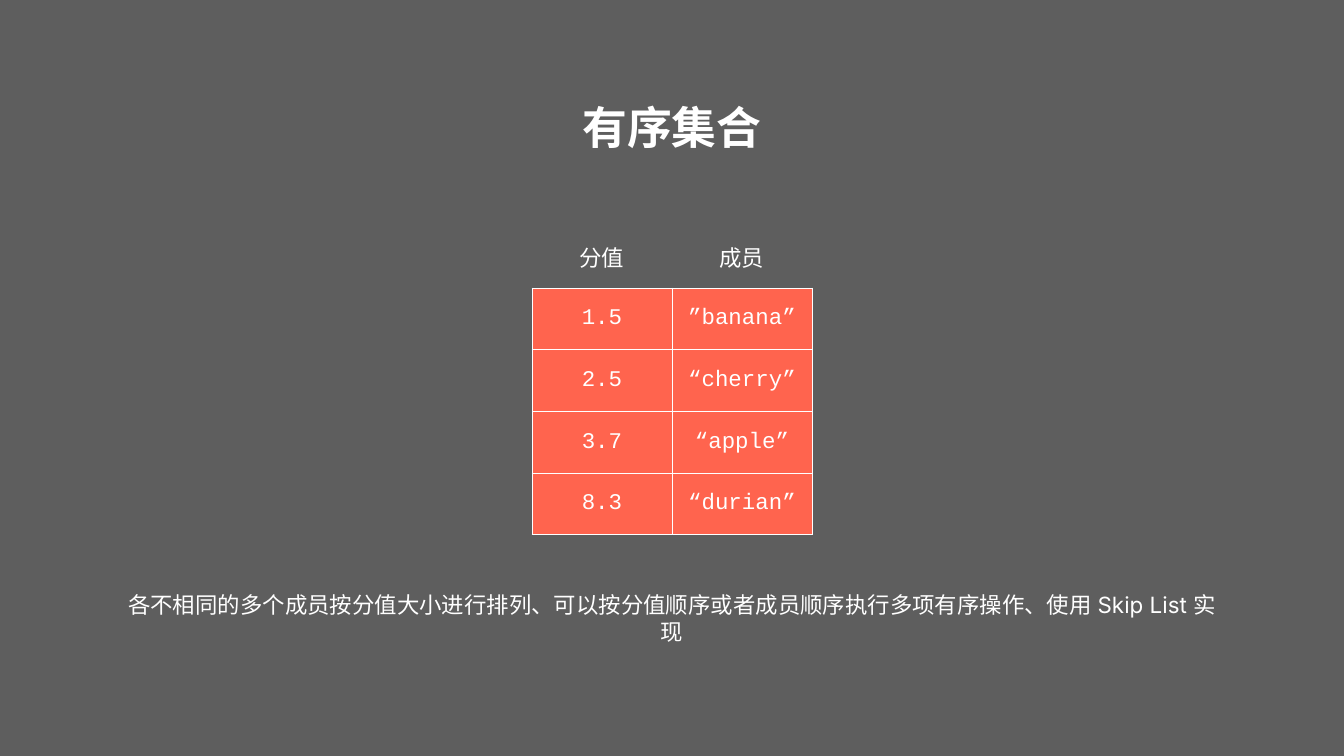
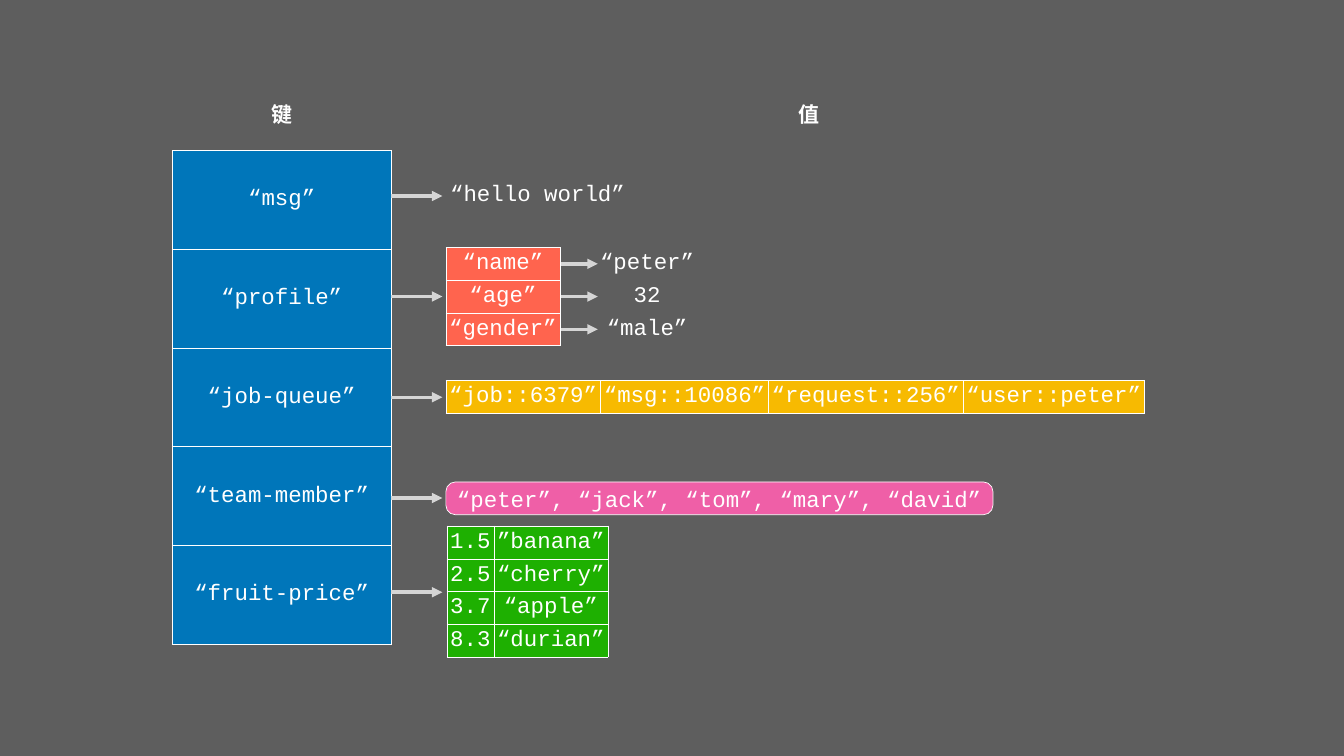
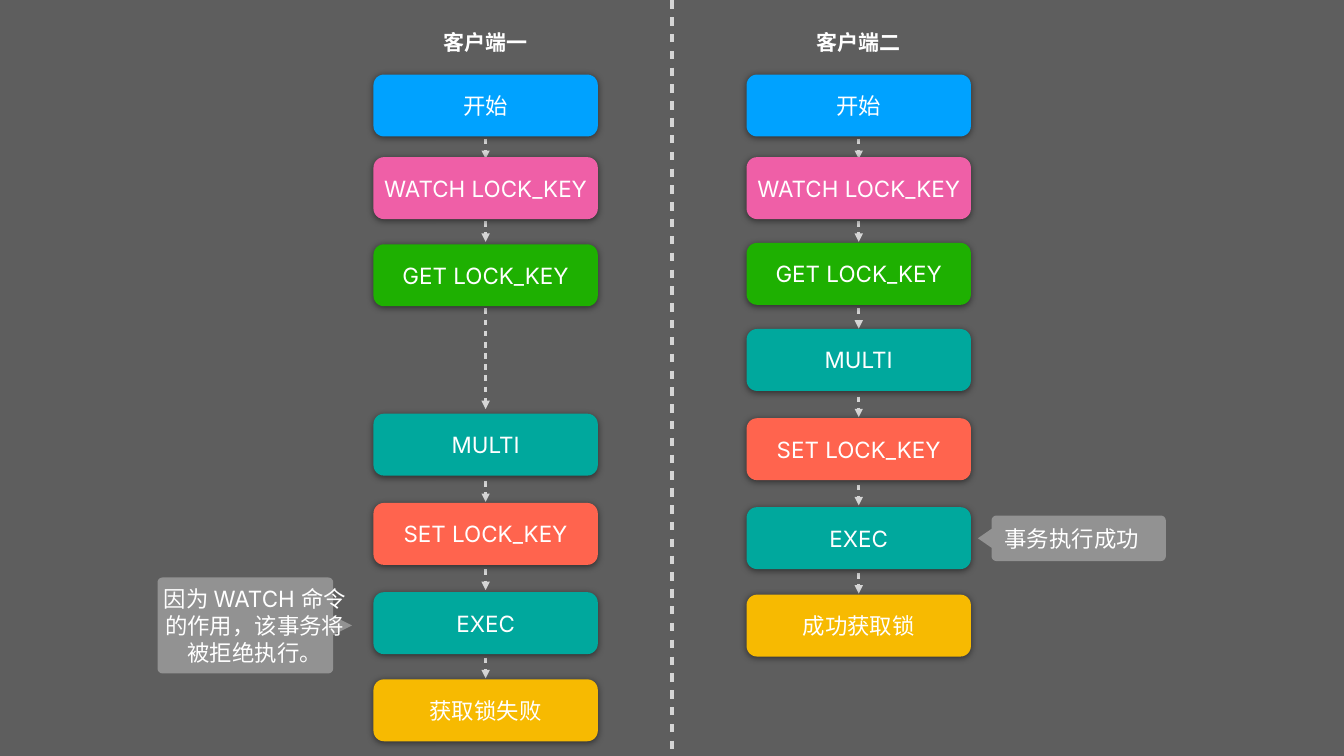
from dataclasses import dataclass
from math import cos, pi, sin
from typing import NamedTuple

from lxml.etree import SubElement
from pptx import Presentation
from pptx.dml.color import RGBColor
from pptx.enum.shapes import MSO_CONNECTOR, MSO_SHAPE
from pptx.enum.text import MSO_ANCHOR, MSO_AUTO_SIZE, PP_ALIGN
from pptx.oxml.ns import qn
from pptx.presentation import Presentation as Deck
from pptx.slide import Slide
from pptx.text.text import TextFrame
from pptx.util import Pt

COLOURS = {
    "background": "5E5E5E",
    "white": "FFFFFF",
    "arrow": "D5D5D5",
    "callout": "929292",
    "navy": "0076BA",
    "sky": "00A2FF",
    "pink": "EF5FA7",
    "green": "1EB001",
    "teal": "00A89D",
    "coral": "FF644E",
    "yellow": "F7BA01",
}
SANS, MONO = "Inter", "Courier New"
PLAIN_TABLE_STYLE = "{2D5ABB26-0587-4C30-8999-92F81FD0307C}"
TITLE_ONLY, BLANK = 5, 6
SMALL_ROW = 46.8


class Box(NamedTuple):
    left: float
    top: float
    width: float
    height: float

    def lengths(self) -> list[int]:
        return [Pt(value) for value in self]


class TextStyle(NamedTuple):
    size: float = 32
    font: str = SANS
    bold: bool = False
    margin: float = 0
    wrap: bool = True


TITLE = TextStyle(64, bold=True, margin=4, wrap=False)
HEADING = TextStyle(30, bold=True, margin=4, wrap=False)
NOTE = TextStyle(margin=4)
LABEL = TextStyle()
CODE = TextStyle(font=MONO)
CELL = TextStyle(font=MONO, margin=4)


@dataclass
class Grid:
    left: float
    top: float
    widths: list[float]
    row_height: float
    rows: list[list[str]]
    fill: str | None = None
    has_header: bool = False


@dataclass
class Lane:
    heading: str
    left: float
    outcome: str
    tops: list[float]
    arrows: list[tuple[float, float]]


FRUIT_PRICES = [
    ["1.5", "”banana”"],
    ["2.5", "“cherry”"],
    ["3.7", "“apple”"],
    ["8.3", "“durian”"],
]
STEPS = [
    ("开始", "sky"),
    ("WATCH LOCK_KEY", "pink"),
    ("GET LOCK_KEY", "green"),
    ("MULTI", "teal"),
    ("SET LOCK_KEY", "coral"),
    ("EXEC", "teal"),
]
STEP_WIDTH, STEP_HEIGHT = 320.5, 88.5
LANES = [
    Lane("客户端一", 533.5, "获取锁失败",
         [106.5, 224.5, 349, 591, 718.5, 846, 970.5],
         [(198, 227), (316, 345.5), (440.5, 584.5),
          (687.5, 717), (813.5, 843), (939.5, 969)]),
    Lane("客户端二", 1066.5, "成功获取锁",
         [106.5, 224.5, 347, 470, 597.5, 724.5, 849.5],
         [(198, 227), (316, 345.5), (440.5, 469.5),
          (566.5, 596), (692.5, 722), (818.5, 848)]),
]


def colour(name: str) -> RGBColor:
    return RGBColor.from_string(COLOURS[name])


def write(frame: TextFrame, words: str, style: TextStyle) -> None:
    frame.vertical_anchor = MSO_ANCHOR.MIDDLE
    frame.word_wrap = style.wrap
    frame.auto_size = MSO_AUTO_SIZE.NONE
    frame.margin_left = frame.margin_right = Pt(style.margin)
    frame.margin_top = frame.margin_bottom = Pt(style.margin)
    add_span(frame, words, style)


def add_span(frame: TextFrame, words: str, style: TextStyle) -> None:
    para = frame.paragraphs[0]
    para.alignment = PP_ALIGN.CENTER
    span = para.add_run()
    span.text = words
    span.font.size = Pt(style.size)
    span.font.name = style.font
    span.font.bold = style.bold
    span.font.color.rgb = colour("white")


def add_label(page: Slide, box: Box, words: str, style: TextStyle) -> None:
    write(page.shapes.add_textbox(*box.lengths()).text_frame, words, style)


def add_heading(page: Slide, center: float, top: float, words: str) -> None:
    width = 30 * len(words) + 9
    add_label(page, Box(center - width / 2, top, width, 50), words, HEADING)


def add_grid(page: Slide, grid: Grid) -> None:
    """Draw a table; filled cells get white borders, a header only its bottom one."""
    box = Box(grid.left, grid.top, sum(grid.widths), grid.row_height * len(grid.rows))
    frame = page.shapes.add_table(len(grid.rows), len(grid.widths), *box.lengths())
    table = frame.table
    table.first_row = table.horz_banding = False
    frame.element.find(".//" + qn("a:tableStyleId")).text = PLAIN_TABLE_STYLE
    for column, width in zip(table.columns, grid.widths):
        column.width = Pt(width)
    for row_index, row in enumerate(grid.rows):
        is_header = grid.has_header and row_index == 0
        for column_index, words in enumerate(row):
            cell = table.cell(row_index, column_index)
            cell.vertical_anchor = MSO_ANCHOR.MIDDLE
            cell.margin_left = cell.margin_right = Pt(CELL.margin)
            cell.margin_top = cell.margin_bottom = Pt(CELL.margin)
            add_span(cell.text_frame, words, CELL)
            if grid.fill:
                add_borders(cell, "B" if is_header else "LRTB")
            if grid.fill and not is_header:
                cell.fill.solid()
                cell.fill.fore_color.rgb = colour(grid.fill)
            else:
                cell.fill.background()


def add_borders(cell, sides: str) -> None:
    properties = cell._tc.get_or_add_tcPr()
    for side in sides:
        border = SubElement(properties, qn(f"a:ln{side}"), w=str(Pt(1)))
        fill = SubElement(border, qn("a:solidFill"))
        SubElement(fill, qn("a:srgbClr"), val=COLOURS["white"])


def add_line(page: Slide, start: tuple[float, float], end: tuple[float, float],
             width: float, dashed: bool = False, arrow: bool = True) -> None:
    line = page.shapes.add_connector(
        MSO_CONNECTOR.STRAIGHT, *[Pt(value) for value in start + end])
    line.line.color.rgb = colour("arrow")
    line.line.width = Pt(width)
    properties = line.element.spPr
    outline = properties.find(qn("a:ln"))
    if dashed:
        dashes = SubElement(outline, qn("a:custDash"))
        SubElement(dashes, qn("a:ds"), d="200000", sp="200000")
    if arrow:
        SubElement(outline, qn("a:tailEnd"), type="triangle")
    SubElement(properties, qn("a:effectLst"))


def add_card(page: Slide, box: Box, words: str, fill: str, style: TextStyle,
             rounding: float, outlined: bool = False) -> None:
    """Draw a rounded box with either a white outline or a soft shadow."""
    card = page.shapes.add_shape(MSO_SHAPE.ROUNDED_RECTANGLE, *box.lengths())
    card.adjustments[0] = rounding
    card.fill.solid()
    card.fill.fore_color.rgb = colour(fill)
    card.shadow.inherit = False
    if outlined:
        card.line.color.rgb = colour("white")
        card.line.width = Pt(1)
    else:
        card.line.fill.background()
        effects = card.element.spPr.find(qn("a:effectLst"))
        shadow = SubElement(effects, qn("a:outerShdw"), blurRad=str(Pt(10)),
                            dist=str(Pt(2)), dir="5400000", rotWithShape="0")
        tint = SubElement(shadow, qn("a:srgbClr"), val="000000")
        SubElement(tint, qn("a:alpha"), val="50000")
    write(card.text_frame, words, style)


def add_callout(page: Slide, box: Box, tail: float, points_right: bool, words: str) -> None:
    """Draw a rounded callout whose tail, included in the box, points sideways."""
    radius, half_tail, arc_steps = 7, 13.5, 4
    body, middle = box.width - tail, box.height / 2
    corners = [(body - radius, box.height - radius), (radius, box.height - radius),
               (radius, radius), (body - radius, radius)]
    outline = [(body, middle - half_tail), (box.width, middle), (body, middle + half_tail)]
    for quarter, (x, y) in enumerate(corners):
        for step in range(arc_steps + 1):
            angle = (quarter + step / arc_steps) * pi / 2
            outline.append((x + radius * cos(angle), y + radius * sin(angle)))
    points = [(Pt(box.left + (x if points_right else box.width - x)), Pt(box.top + y))
              for x, y in outline]
    builder = page.shapes.build_freeform(*points[0])
    builder.add_line_segments(points[1:])
    callout = builder.convert_to_shape()
    callout.fill.solid()
    callout.fill.fore_color.rgb = colour("callout")
    callout.line.fill.background()
    callout.shadow.inherit = False
    write(callout.text_frame, words, LABEL)


def add_page(deck: Deck, layout: int) -> Slide:
    return deck.slides.add_slide(deck.slide_layouts[layout])


def build_sorted_set(deck: Deck) -> None:
    page = add_page(deck, TITLE_ONLY)
    title = page.shapes.title
    title.left, title.top, title.width, title.height = Box(827.5, 132, 265, 98).lengths()
    write(title.text_frame, "有序集合", TITLE)
    add_grid(page, Grid(760, 323, [200, 200], 88.2, [["分值", "成员"], *FRUIT_PRICES],
                        "coral", has_header=True))
    add_label(page, Box(165, 856, 1590, 53),
              "各不相同的多个成员按分值大小进行排列、可以按分值顺序或者成员顺序执行多项有序操作、"
              "使用 Skip List 实现", NOTE)


def build_key_space(deck: Deck) -> None:
    page = add_page(deck, BLANK)
    add_heading(page, 402.5, 138, "键")
    add_heading(page, 1156, 138, "值")
    keys = ["“msg”", "“profile”", "“job-queue”", "“team-member”", "“fruit-price”"]
    profile = {"“name”": "“peter”", "“age”": "32", "“gender”": "“male”"}
    jobs = ["“job::6379”", "“msg::10086”", "“request::256”", "“user::peter”"]
    values_left, profile_top = 637, 353.5
    grids = [
        Grid(246, 215, [313], 141.1, [[key] for key in keys], "navy"),
        Grid(638.5, 256, [259], SMALL_ROW, [["“hello world”"]]),
        Grid(values_left, profile_top, [163], SMALL_ROW, [[key] for key in profile], "coral"),
        Grid(829.5, profile_top, [190], SMALL_ROW, [[value] for value in profile.values()]),
        Grid(values_left, 543.5, [221, 240, 278, 259], SMALL_ROW, [jobs], "yellow"),
        Grid(638.5, 751.5, [67, 163], SMALL_ROW, FRUIT_PRICES, "green"),
    ]
    for grid in grids:
        add_grid(page, grid)
    add_card(page, Box(values_left, 688.5, 781.5, SMALL_ROW),
             "“peter”, “jack”, “tom”, “mary”, “david”", "pink", CODE, 0.29, outlined=True)
    for y in (280, 423.5, 567.5, 711.5, 846):
        add_line(page, (559, y), (632, y), 5)
    for index in range(len(profile)):
        y = profile_top + (index + 0.5) * SMALL_ROW
        add_line(page, (801, y), (854, y), 5)


def build_lock_flow(deck: Deck) -> None:
    page = add_page(deck, BLANK)
    add_line(page, (960, 0.5), (960, 1079.5), 6, dashed=True, arrow=False)
    for lane in LANES:
        center = lane.left + STEP_WIDTH / 2
        add_heading(page, center, 35, lane.heading)
        for start, end in lane.arrows:
            add_line(page, (center, start), (center, end), 4, dashed=True)
        for (words, fill), top in zip([*STEPS, (lane.outcome, "yellow")], lane.tops):
            add_card(page, Box(lane.left, top, STEP_WIDTH, STEP_HEIGHT), words, fill,
                     LABEL, 0.17)
    add_callout(page, Box(225, 825, 278, 137), 27, True,
                "因为 WATCH 命令的作用，该事务将被拒绝执行。")
    add_callout(page, Box(1397, 736.5, 268.5, 65), 19.5, False, "事务执行成功")


def main() -> None:
    deck = Presentation()
    deck.slide_width, deck.slide_height = Pt(1920), Pt(1080)
    background = deck.slide_master.background.fill
    background.solid()
    background.fore_color.rgb = colour("background")
    build_sorted_set(deck)
    build_key_space(deck)
    build_lock_flow(deck)
    deck.save("out.pptx")


if __name__ == "__main__":
    main()
